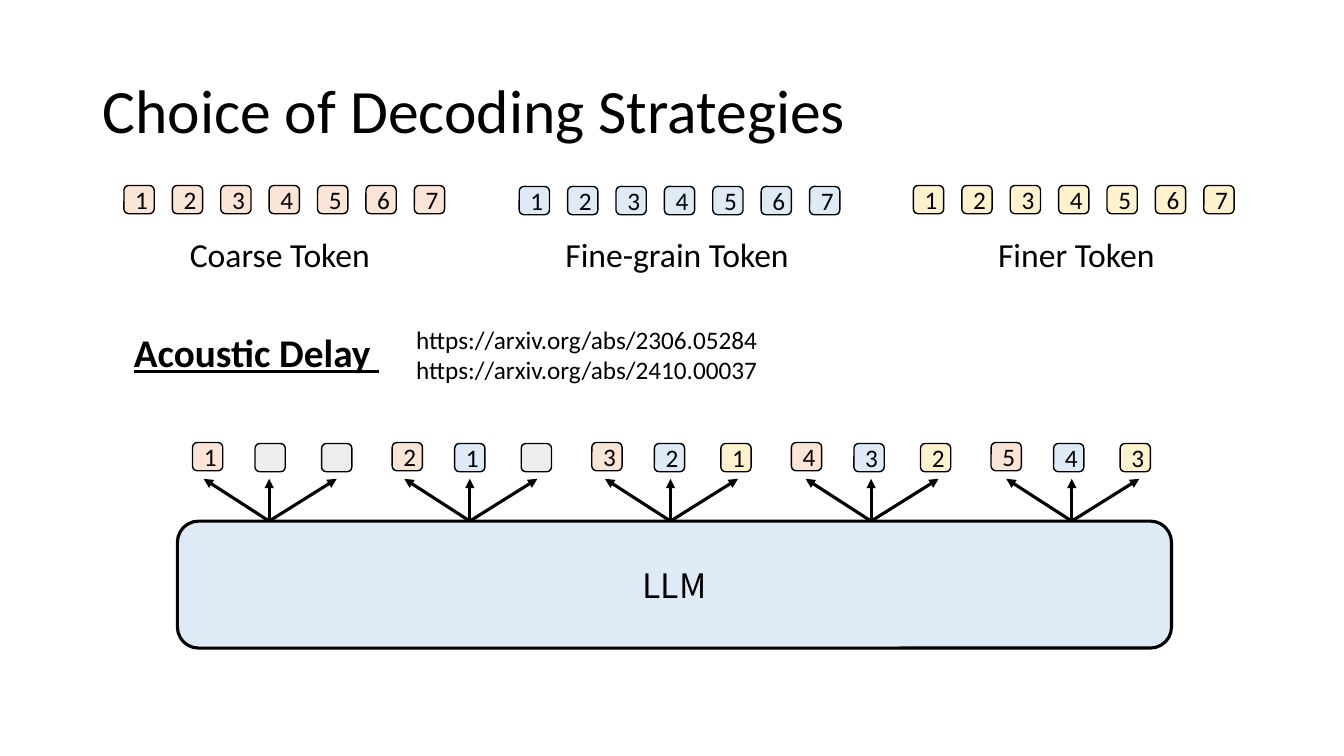
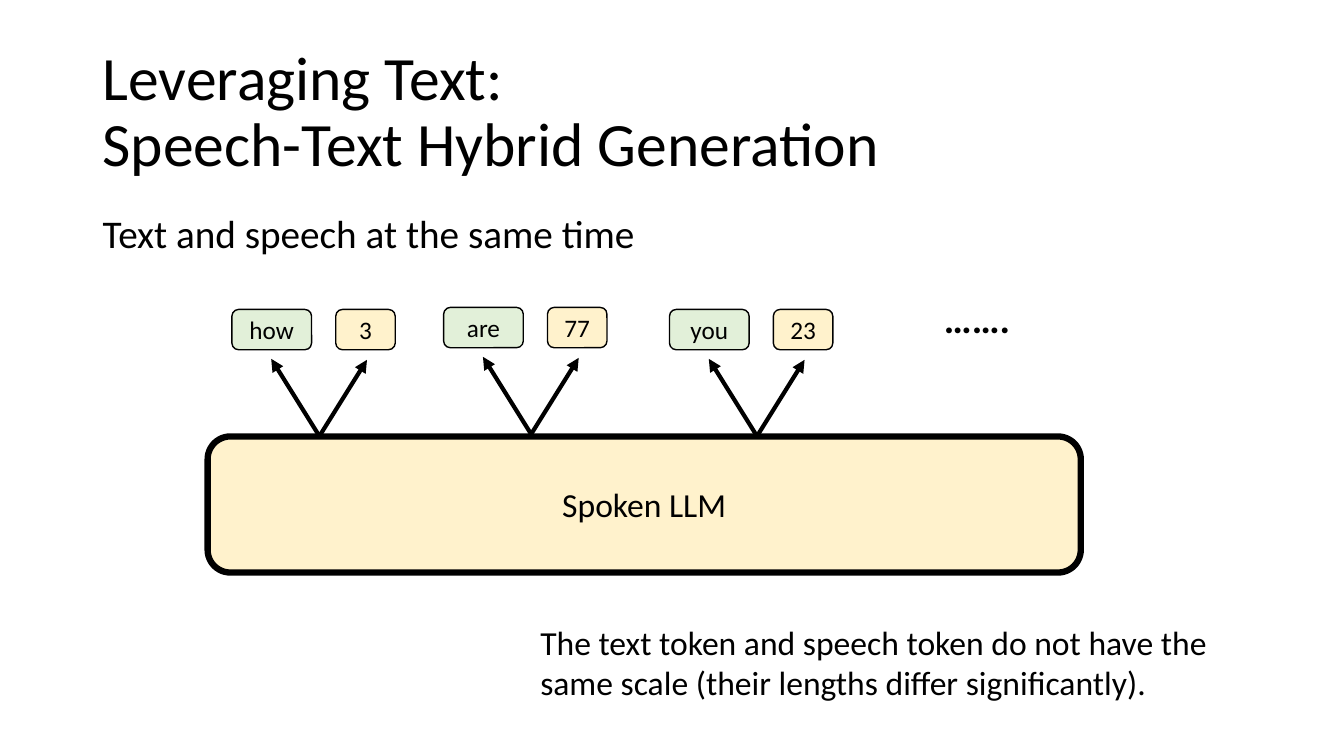
from dataclasses import dataclass

from lxml.etree import SubElement
from pptx import Presentation
from pptx.dml.color import RGBColor
from pptx.enum.shapes import MSO_CONNECTOR as Connector, MSO_SHAPE as Preset
from pptx.enum.text import MSO_ANCHOR as Anchor, PP_ALIGN as Align
from pptx.oxml.ns import qn
from pptx.util import Emu, Pt

EMU_PER_PX = 9144


@dataclass(frozen=True)
class Theme:
    font: str = "Calibri"
    model_font: str = "Noto Sans CJK SC"
    ink: str = "000000"
    coarse: str = "FBE5D6"
    fine: str = "DEEBF7"
    finer: str = "FFF2CC"
    empty: str = "EDEDED"
    word: str = "E2F0D9"
    title: int = 44
    heading: int = 28
    body: int = 24
    small: int = 18


THEME = Theme()
STREAMS = (
    ("Coarse Token", THEME.coarse, 123, 184, 135),
    ("Fine-grain Token", THEME.fine, 515, 185, 529),
    ("Finer Token", THEME.finer, 906, 184, 925),
)
TOKEN_SIZE = (30, 28)
STREAM_LENGTH, TOKEN_STEP = 7, 48
DECODING_STEPS = 5


def px(*lengths):
    return [Emu(length * EMU_PER_PX) for length in lengths]


def color(value):
    return RGBColor.from_string(value)


def write(frame, text, size, align, font=THEME.font, bold=False, underline=False):
    frame.word_wrap = True
    frame.text = text
    for paragraph in frame.paragraphs:
        paragraph.alignment = align
        for run in paragraph.runs:
            run.font.name = font
            run.font.size = Pt(size)
            run.font.bold = bold
            run.font.underline = underline
            run.font.color.rgb = color(THEME.ink)


def add_text(slide, text, area, size, align=Align.LEFT, **style):
    frame = slide.shapes.add_textbox(*px(*area)).text_frame
    write(frame, text, size, align, **style)
    return frame


def add_title(slide, text):
    frame = add_text(slide, text, (92, 40, 1150, 145), THEME.title)
    frame.vertical_anchor = Anchor.MIDDLE
    frame.paragraphs[0].line_spacing = 0.9


def add_box(shapes, text, area, fill, size=THEME.small, weight=1, font=THEME.font):
    box = shapes.add_shape(Preset.ROUNDED_RECTANGLE, *px(*area))
    box.shadow.inherit = False
    box.fill.solid()
    box.fill.fore_color.rgb = color(fill)
    box.line.color.rgb = color(THEME.ink)
    box.line.width = Pt(weight)
    box.text_frame.vertical_anchor = Anchor.MIDDLE
    write(box.text_frame, text, size, Align.CENTER, font)


def add_arrow(shapes, start, end, weight):
    arrow = shapes.add_connector(Connector.STRAIGHT, *px(*start, *end))
    arrow.line.color.rgb = color(THEME.ink)
    arrow.line.width = Pt(weight)
    SubElement(arrow.line._get_or_add_ln(), qn("a:tailEnd"), type="triangle")
    SubElement(arrow._element.spPr, qn("a:effectLst"))


def add_stream(slide, label, fill, left, top, label_left):
    tokens = slide.shapes.add_group_shape().shapes
    for index in range(STREAM_LENGTH):
        area = (left + index * TOKEN_STEP, top, *TOKEN_SIZE)
        add_box(tokens, str(index + 1), area, fill)
    add_text(slide, label, (label_left, 227, 285, 50), THEME.body, Align.CENTER)


def add_decoding_step(slide, step):
    parts = slide.shapes.add_group_shape().shapes
    hub = 267 + 199 * step
    for reach in (-65, 0, 67):
        add_arrow(parts, (hub, 517), (hub + reach, 475), 2.25)
    places = ((191, 439), (253, 440), (319, 440))
    for delay, ((left, top), stream) in enumerate(zip(places, STREAMS)):
        number = step + 1 - delay
        text, fill = (str(number), stream[1]) if number > 0 else ("", THEME.empty)
        add_box(parts, text, (left + 198 * step, top, *TOKEN_SIZE), fill)


def add_hybrid_step(slide, word, speech, left, top):
    add_arrow(slide.shapes, (left + 87, top + 126), (left + 39, top + 49), 3)
    add_arrow(slide.shapes, (left + 86, top + 127), (left + 134, top + 50), 3)
    add_box(slide.shapes, word, (left, top, 79, 40), THEME.word)
    add_box(slide.shapes, speech, (left + 103, top, 59, 40), THEME.finer)


def build_decoding(slide):
    add_title(slide, "Choice of Decoding Strategies")
    add_text(slide, "Acoustic Delay ", (123, 321, 1072, 57), THEME.heading,
             bold=True, underline=True)
    for stream in STREAMS:
        add_stream(slide, *stream)
    for step in range(DECODING_STEPS):
        add_decoding_step(slide, step)
    add_box(slide.shapes, "LLM", (176, 517, 986, 126), THEME.fine,
            THEME.body, 2.25, THEME.model_font)
    add_text(slide, "https://arxiv.org/abs/2306.05284\nhttps://arxiv.org/abs/2410.00037",
             (403, 317, 667, 71), THEME.small)


def build_hybrid(slide):
    add_title(slide, "Leveraging Text: \vSpeech-Text Hybrid Generation")
    add_text(slide, "Text and speech at the same time", (92, 203, 1094, 57), THEME.heading)
    add_box(slide.shapes, "Spoken LLM", (206, 433, 866, 135), THEME.finer, THEME.body, 4.5)
    for word, speech, left, top in (
        ("how", "3", 230, 307),
        ("are", "77", 440, 305),
        ("you", "23", 664, 307),
    ):
        add_hybrid_step(slide, word, speech, left, top)
    add_text(slide, "…….", (919, 287, 100, 57), THEME.heading, Align.CENTER, bold=True)
    add_text(slide, "The text token and speech token do not have the same scale "
             "(their lengths differ significantly).", (526, 612, 719, 91), THEME.body)


def main():
    deck = Presentation()
    deck.slide_width, deck.slide_height = px(1333, 750)
    blank = deck.slide_layouts[6]
    for build in (build_decoding, build_hybrid):
        build(deck.slides.add_slide(blank))
    deck.save("out.pptx")


if __name__ == "__main__":
    main()
